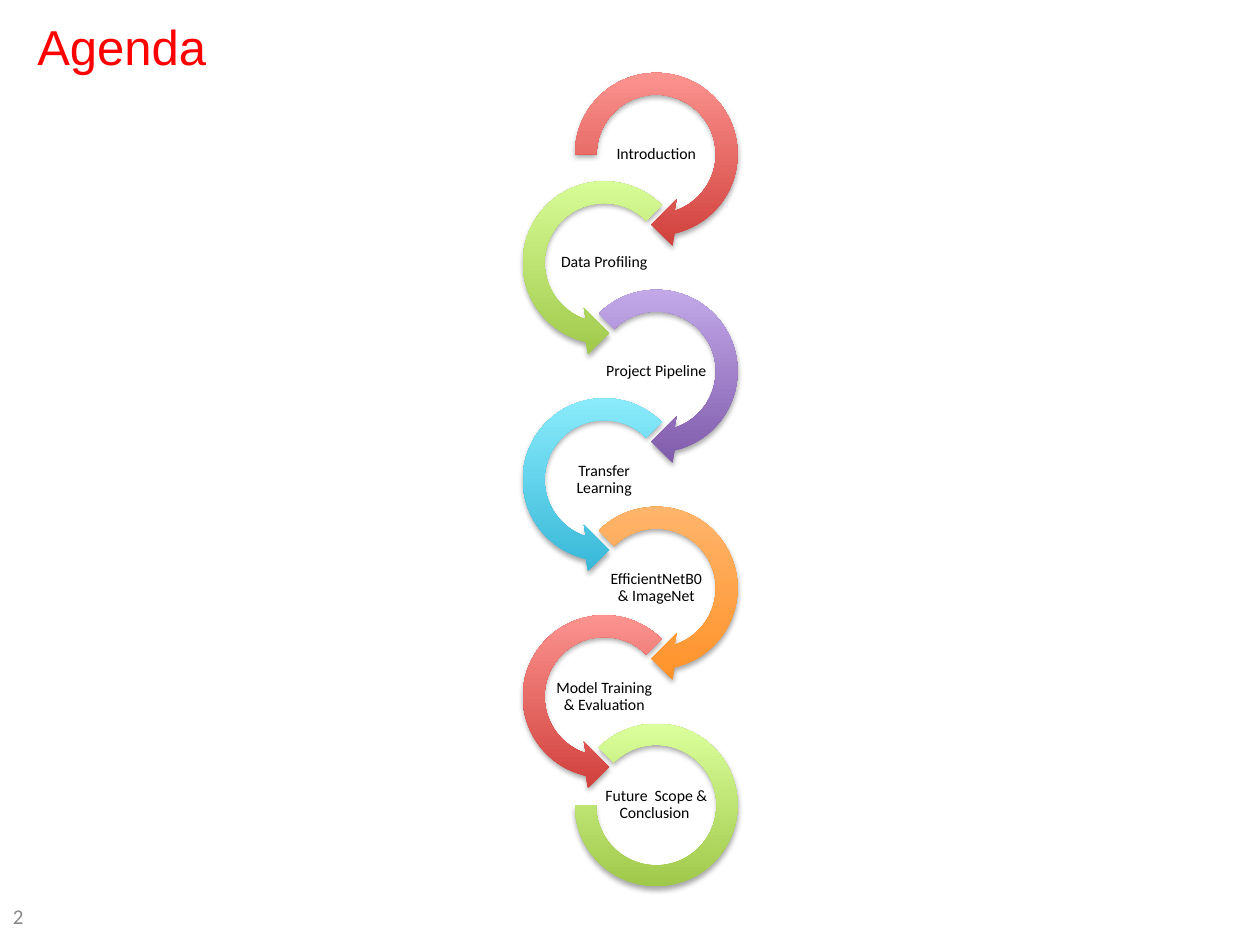
"""Build an agenda slide with a winding chain of circular arrows."""
from math import cos, radians, sin, tan

from lxml import etree
from pptx import Presentation
from pptx.dml.color import RGBColor
from pptx.enum.shapes import MSO_SHAPE
from pptx.enum.text import MSO_ANCHOR, PP_ALIGN
from pptx.oxml.ns import qn
from pptx.util import Cm, Pt

BLOCK_ARC = MSO_SHAPE.BLOCK_ARC
MIDDLE = MSO_ANCHOR.MIDDLE
LEFT, CENTER = PP_ALIGN.LEFT, PP_ALIGN.CENTER

TITLE = "Agenda"
SLIDE_NUMBER = "2"
RED, GREEN = ("D03F3B", "FF9995"), ("A0C94A", "DBFF9C")
PURPLE, BLUE, ORANGE = ("7F5AAB", "C7AEED"), ("36B7D7", "90EFFF"), ("FF9228", "FFB771")
TOPICS = [
    ("Introduction", RED),
    ("Data Profiling", GREEN),
    ("Project Pipeline", PURPLE),
    ("Transfer Learning", BLUE),
    ("EfficientNetB0 & ImageNet", ORANGE),
    ("Model Training & Evaluation", RED),
    ("Future  Scope & Conclusion ", GREEN),
]

RIGHT_X, LEFT_X = 13.23, 12.18
FIRST_Y, LAST_Y = 3.11, 16.23
STEP = (LAST_Y - FIRST_Y) / (len(TOPICS) - 1)
OUTER, INNER, FRAME = 1.64, 1.2, 3.81
LABEL_WIDTH, LABEL_HEIGHT = 2.13, 1.07
ARROW_HEAD = [(0.33, 1.85), (-0.1, 1.42), (0.41, 0.91)]
CURVE_STARTS = (0, 3, 6, 13, 16, 19)


def color(value):
    return RGBColor.from_string(value)


def write(shape, text, size, font, fill, align=LEFT, spacing=1.0, inset=None):
    frame = shape.text_frame
    frame.word_wrap = True
    frame.vertical_anchor = MIDDLE
    if inset is not None:
        frame.margin_left = frame.margin_right = Cm(inset)
        frame.margin_top = frame.margin_bottom = Cm(inset)
    paragraph = frame.paragraphs[0]
    paragraph.alignment = align
    paragraph.line_spacing = spacing
    run = paragraph.add_run()
    run.text = text
    run.font.size = Pt(size)
    run.font.name = font
    run.font.color.rgb = color(fill)


def style_ring(shape, shades):
    shape.fill.gradient()
    shape.fill.gradient_angle = 90
    for stop, shade in zip(shape.fill.gradient_stops, shades):
        stop.color.rgb = color(shade)
    shape.line.fill.background()
    shape.shadow.inherit = False
    effects = shape.element.spPr.find(qn("a:effectLst"))
    shadow = etree.SubElement(effects, qn("a:outerShdw"), blurRad="40000",
                              dist="23000", dir="5400000", rotWithShape="0")
    black = etree.SubElement(shadow, qn("a:srgbClr"), val="000000")
    etree.SubElement(black, qn("a:alpha"), val="35000")


def arc(radius, start, end, pieces=3):
    """Return the start point, then two control points and an end for each piece."""
    turn = radians(end - start) / pieces
    pull = 4 / 3 * tan(turn / 4)
    points = [(radius * cos(radians(start)), radius * sin(radians(start)))]
    for piece in range(pieces):
        first = radians(start) + piece * turn
        last = first + turn
        points += [
            (radius * (cos(first) - pull * sin(first)), radius * (sin(first) + pull * cos(first))),
            (radius * (cos(last) + pull * sin(last)), radius * (sin(last) - pull * cos(last))),
            (radius * cos(last), radius * sin(last)),
        ]
    return points


def bend(shape, left, top):
    """Fit the outline to a square frame and turn its arc points into curves."""
    outline = shape.element.spPr.find(".//" + qn("a:path"))
    shift_x, shift_y = shape.left - left, shape.top - top
    for point in outline.iter(qn("a:pt")):
        point.set("x", str(int(point.get("x")) + shift_x))
        point.set("y", str(int(point.get("y")) + shift_y))
    outline.set("w", str(Cm(FRAME)))
    outline.set("h", str(Cm(FRAME)))
    shape.left, shape.top, shape.width, shape.height = left, top, Cm(FRAME), Cm(FRAME)
    lines = outline.findall(qn("a:lnTo"))
    for start in CURVE_STARTS:
        curve = etree.Element(qn("a:cubicBezTo"))
        lines[start].addprevious(curve)
        for line in lines[start:start + 3]:
            curve.append(line[0])
            outline.remove(line)


def add_arrow(shapes, center_x, center_y, start, side):
    outline = arc(OUTER, start, 437) + ARROW_HEAD + arc(INNER, 432, start)
    points = [(Cm(center_x + side * x), Cm(center_y + y)) for x, y in outline]
    builder = shapes.build_freeform(*points[0])
    builder.add_line_segments(points[1:], close=True)
    arrow = builder.convert_to_shape()
    bend(arrow, Cm(center_x - FRAME / 2), Cm(center_y - FRAME / 2))
    return arrow


def add_closing_ring(shapes, center_x, center_y):
    ring = shapes.add_shape(BLOCK_ARC, Cm(center_x - OUTER), Cm(center_y - OUTER),
                            Cm(2 * OUTER), Cm(2 * OUTER))
    for index, value in enumerate((135, 108, 0.13)):
        ring.adjustments[index] = value
    return ring


presentation = Presentation()
presentation.slide_width, presentation.slide_height = Cm(25.4), Cm(19.05)
slide = presentation.slides.add_slide(presentation.slide_layouts[5])

title = slide.shapes.title
title.left, title.top, title.width, title.height = Cm(0.5), Cm(0.03), Cm(22.7), Cm(1.78)
write(title, TITLE, 28, "Arial", "FF0000")

number = slide.shapes.add_textbox(Cm(0.01), Cm(17.96), Cm(5.92), Cm(1.02))
write(number, SLIDE_NUMBER, 12, "Calibri", "888888")

chain = slide.shapes.add_group_shape().shapes
for index, (topic, shades) in enumerate(TOPICS):
    on_right = index % 2 == 0
    center_x = RIGHT_X if on_right else LEFT_X
    center_y = FIRST_Y + index * STEP
    if index == len(TOPICS) - 1:
        ring = add_closing_ring(chain, center_x, center_y)
    else:
        ring = add_arrow(chain, center_x, center_y, 225 if index else 180,
                         1 if on_right else -1)
    style_ring(ring, shades)
    label = chain.add_textbox(Cm(center_x - LABEL_WIDTH / 2), Cm(center_y - LABEL_HEIGHT / 2),
                              Cm(LABEL_WIDTH), Cm(LABEL_HEIGHT))
    write(label, topic, 9, "Calibri", "000000", align=CENTER, spacing=0.9, inset=0.03)

presentation.save("out.pptx")
